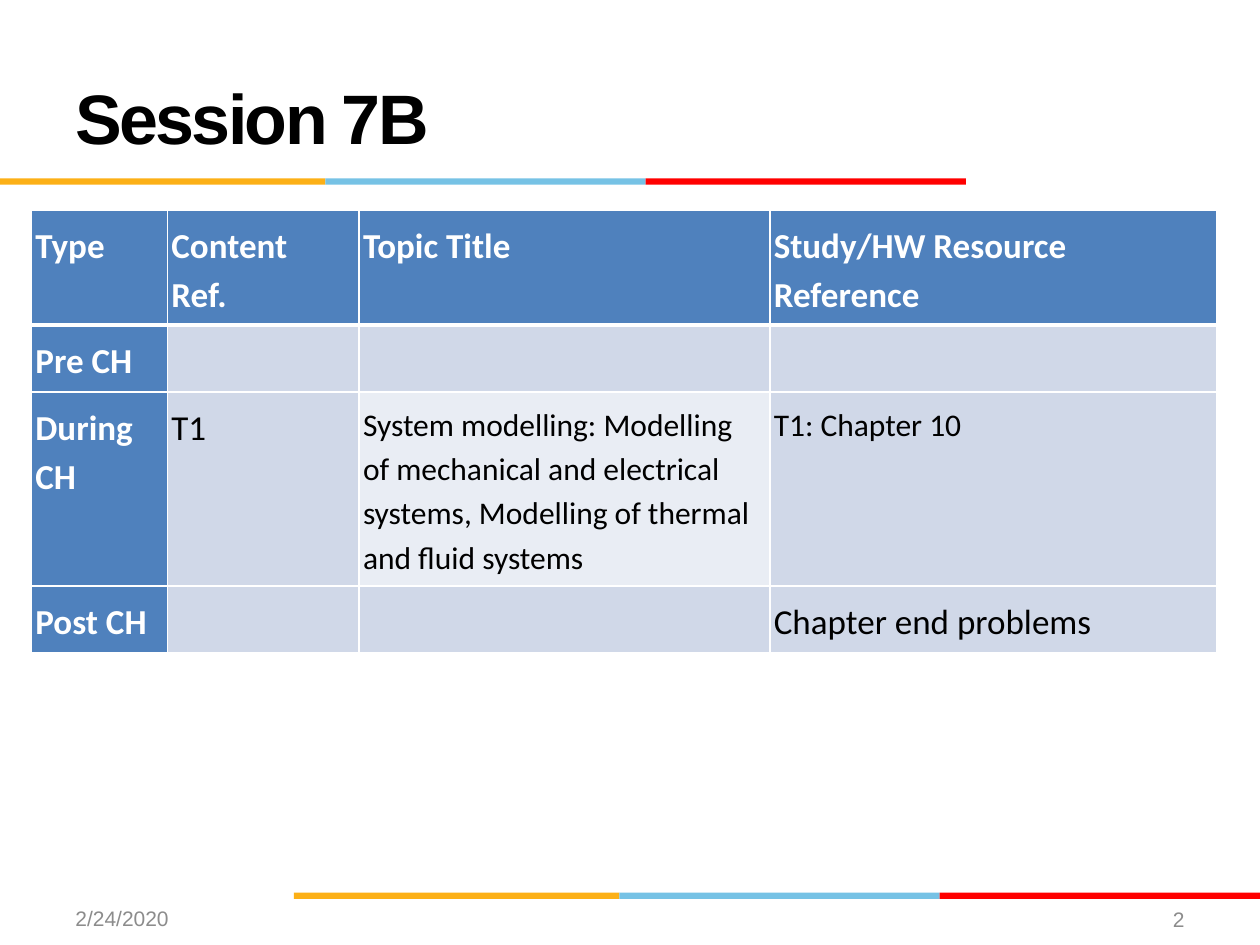
import lxml.etree
import pptx
import pptx.dml.color
import pptx.enum.shapes
import pptx.enum.text
import pptx.oxml.ns
import pptx.util

Pt = pptx.util.Pt
RGB = pptx.dml.color.RGBColor
ALIGN = pptx.enum.text.PP_ALIGN
WHITE = RGB(0xFF, 0xFF, 0xFF)
BLACK = RGB(0x00, 0x00, 0x00)
GRAY = RGB(0x8C, 0x8C, 0x8C)
GOLD = RGB(0xFC, 0xB0, 0x17)
SKY = RGB(0x76, 0xC2, 0xE5)
RED = RGB(0xFF, 0x00, 0x00)
BLUE = RGB(0x4F, 0x81, 0xBD)
PALE = RGB(0xD0, 0xD8, 0xE8)
LIGHT = RGB(0xE9, 0xED, 0xF4)

BARS = [(186, GOLD), (183, SKY), (183, RED)]
COLS = [77.75, 109.5, 234.75, 255.5]
ROWS = [65.75, 38.25, 111, 38.25]
CELLS = [
    ["Type", "Content Ref.", "Topic Title", "Study/HW Resource Reference"],
    ["Pre CH", "", "", ""],
    ["During CH", "T1",
     "System modelling: Modelling of mechanical and electrical systems, "
     "Modelling of thermal and fluid systems", "T1: Chapter 10"],
    ["Post CH", "", "", "Chapter end problems"],
]
SMALL = [(2, 2), (2, 3)]
HEAD = {"name": "Calibri", "size": Pt(20), "bold": True}
BODY = {"name": "Calibri", "size": Pt(20), "bold": False}
TITLE = {"name": "Arial", "size": Pt(40), "bold": True}
FOOT = {"name": "Arial", "size": Pt(12)}
PAD = {"margin_left": Pt(2.25), "margin_right": Pt(5),
       "margin_top": Pt(5), "margin_bottom": Pt(5)}


def style(item, form):
    """Set each attribute of an item from a dict of values."""
    for key, value in form.items():
        setattr(item, key, value)


def add_text(slide, text, box, form, color, align=ALIGN.LEFT):
    """Add a one-line text box, centred in height, and return its run."""
    frame = slide.shapes.add_textbox(*map(Pt, box)).text_frame
    style(frame, {"word_wrap": True,
                  "vertical_anchor": pptx.enum.text.MSO_ANCHOR.MIDDLE})
    para = frame.paragraphs[0]
    para.alignment = align
    run = para.add_run()
    run.text = text
    style(run.font, form)
    run.font.color.rgb = color
    return run


def add_bars(slide, left, top):
    """Add a strip of three coloured bars, end to end."""
    for width, color in BARS:
        bar = slide.shapes.add_shape(
            pptx.enum.shapes.MSO_SHAPE.RECTANGLE,
            Pt(left), Pt(top), Pt(width), Pt(3.6))
        bar.shadow.inherit = False
        bar.fill.solid()
        bar.fill.fore_color.rgb = color
        bar.line.fill.background()
        left += width


def add_edge(cell, side, width):
    """Draw a white border on one side of a cell."""
    qn = pptx.oxml.ns.qn
    props = cell._tc.get_or_add_tcPr()
    line = lxml.etree.SubElement(props, qn("a:ln" + side), w=str(Pt(width)))
    fill = lxml.etree.SubElement(line, qn("a:solidFill"))
    lxml.etree.SubElement(fill, qn("a:srgbClr"), val=str(WHITE))


def fill_cell(cell, text, row, col):
    """Give a cell its borders, fill and text."""
    head = row == 0 or col == 0
    thick = {(0, "B"), (1, "T")}
    for side in "LRTB":
        add_edge(cell, side, 3 if (row, side) in thick else 1)
    cell.fill.solid()
    cell.fill.fore_color.rgb = (
        BLUE if head else LIGHT if (row, col) == (2, 2) else PALE)
    style(cell, PAD)
    para = cell.text_frame.paragraphs[0]
    para.line_spacing = 1.15
    if text:
        run = para.add_run()
        run.text = text
        style(run.font, HEAD if head else BODY)
        run.font.color.rgb = WHITE if head else BLACK
        if (row, col) in SMALL:
            run.font.size = Pt(18)


def add_grid(slide, left, top):
    """Add the session table."""
    table = slide.shapes.add_table(
        len(ROWS), len(COLS), Pt(left), Pt(top),
        Pt(sum(COLS)), Pt(sum(ROWS))).table
    for col, width in zip(table.columns, COLS):
        col.width = Pt(width)
    for row, height in zip(table.rows, ROWS):
        row.height = Pt(height)
    for row, texts in enumerate(CELLS):
        for col, text in enumerate(texts):
            fill_cell(table.cell(row, col), text, row, col)


def main():
    """Build the slide and save it."""
    deck = pptx.Presentation()
    deck.slide_width, deck.slide_height = Pt(720), Pt(540)
    slide = deck.slides.add_slide(deck.slide_layouts[6])
    add_bars(slide, 0, 102)
    add_bars(slide, 168, 510)
    title = add_text(slide, "Session 7B", (36, 21.6, 648, 90), TITLE, BLACK)
    title.font._element.set("spc", "-150")
    add_text(slide, "2/24/2020", (36, 510, 168, 28.75), FOOT, GRAY)
    add_text(slide, "2", (600, 510, 84, 30), FOOT, GRAY, ALIGN.RIGHT)
    add_grid(slide, 18, 120)
    deck.save("out.pptx")


if __name__ == "__main__":
    main()
